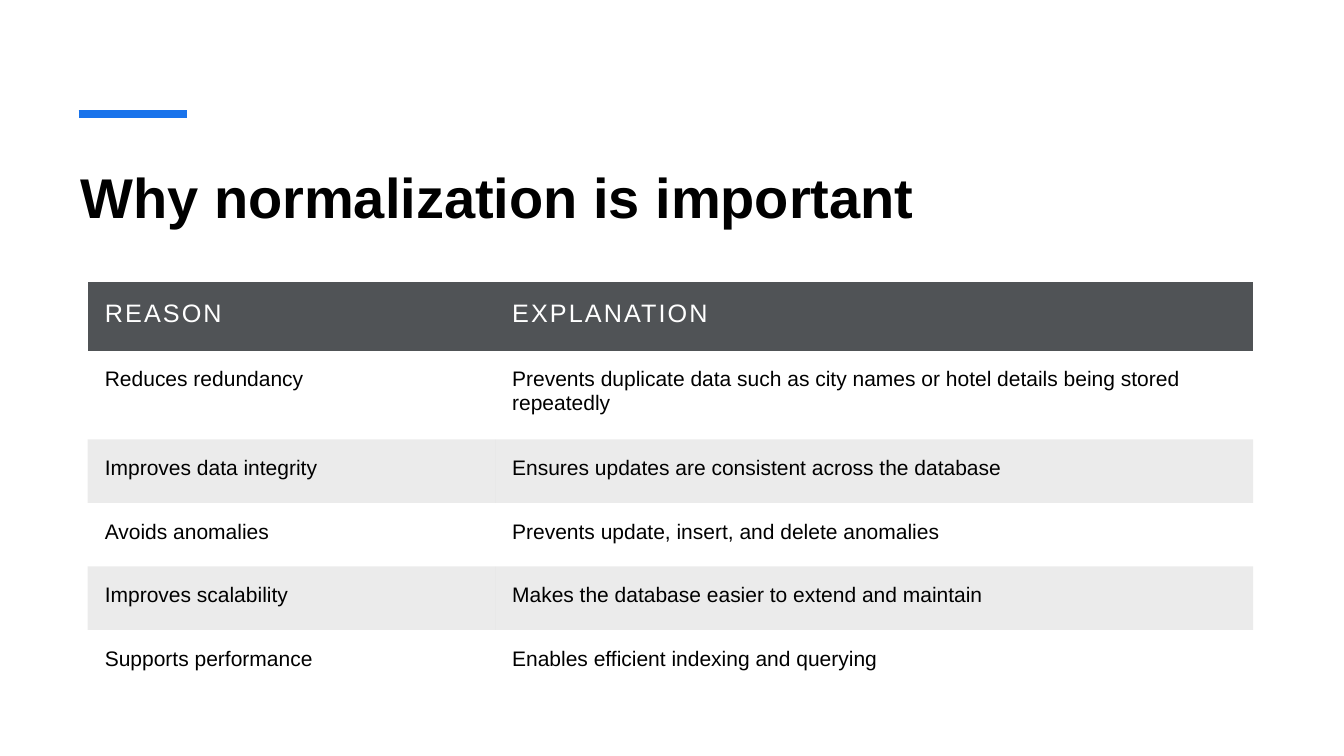
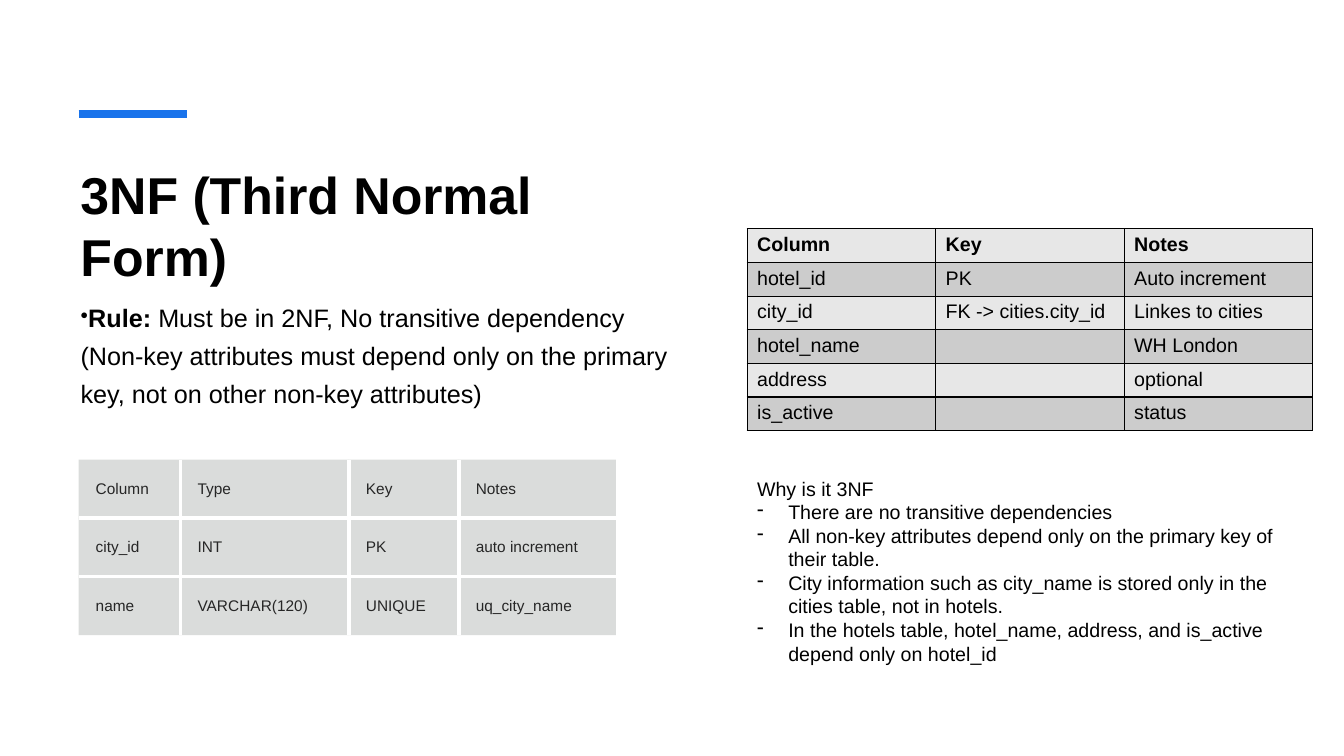
"""Build two slides on database normalization: why it matters, and the third normal form."""
import lxml.etree
import pptx
import pptx.dml.color
import pptx.enum.shapes
import pptx.enum.text
import pptx.oxml.ns
import pptx.util

PX = 9144
FONT = "Arial"
BLACK = pptx.dml.color.RGBColor(0x00, 0x00, 0x00)
WHITE = pptx.dml.color.RGBColor(0xFF, 0xFF, 0xFF)
ACCENT = pptx.dml.color.RGBColor(0x19, 0x73, 0xEB)
HEADER = pptx.dml.color.RGBColor(0x50, 0x53, 0x56)
SAGE = pptx.dml.color.RGBColor(0x87, 0x8E, 0x8B)
CHARCOAL = pptx.dml.color.RGBColor(0x26, 0x26, 0x26)
LIGHT = pptx.dml.color.RGBColor(0xE7, 0xE7, 0xE7)
MEDIUM = pptx.dml.color.RGBColor(0xCC, 0xCC, 0xCC)
NO_STYLE = "{2D5ABB26-0587-4C30-8999-92F81FD0307C}"
qn = pptx.oxml.ns.qn


def write_text(paragraph, text, size=14, color=BLACK, bold=False, spacing=0,
               bullet=None, bullet_size=100, indent=0):
    """Add a formatted run to a paragraph, with an optional bullet."""
    if not text:
        lxml.etree.SubElement(paragraph._p, qn("a:endParaRPr"), sz=str(size * 100))
        return
    run = paragraph.add_run()
    run.text = text
    run.font.name = FONT
    run.font.size = pptx.util.Pt(size)
    run.font.bold = bold
    run.font.color.rgb = color
    if spacing:
        run._r.get_or_add_rPr().set("spc", str(int(spacing * 100)))
    if bullet:
        properties = paragraph._p.get_or_add_pPr()
        properties.set("marL", str(indent * PX))
        properties.set("indent", str(-indent * PX))
        lxml.etree.SubElement(properties, qn("a:buSzPct"), val=str(bullet_size * 1000))
        lxml.etree.SubElement(properties, qn("a:buChar"), char=bullet)


def add_table(slide, left, top, widths, heights, rows, fills, text_formats,
              margins=(10, 5, 10, 5), anchor=pptx.enum.text.MSO_ANCHOR.TOP,
              border=None, border_width=1, outer_border=True):
    """Add a table; fills holds a colour and an opacity in percent for each row."""
    table = slide.shapes.add_table(
        len(rows), len(widths), left * PX, top * PX, sum(widths) * PX, sum(heights) * PX).table
    table.first_row = table.horz_banding = False
    table._tbl.tblPr.find(qn("a:tableStyleId")).text = NO_STYLE
    for column, width in zip(table.columns, widths):
        column.width = width * PX
    for row_index, row in enumerate(rows):
        table.rows[row_index].height = heights[row_index] * PX
        fill_color, opacity = fills[row_index]
        for column_index, text in enumerate(row):
            cell = table.cell(row_index, column_index)
            cell.margin_left, cell.margin_top, cell.margin_right, cell.margin_bottom = [
                margin * PX for margin in margins]
            cell.vertical_anchor = anchor
            write_text(cell.text_frame.paragraphs[0], text, **text_formats[row_index])
            inner_sides = {
                "L": column_index > 0, "R": column_index < len(widths) - 1,
                "T": row_index > 0, "B": row_index < len(rows) - 1}
            for side, is_inner in inner_sides.items():
                if border is not None and (is_inner or outer_border):
                    line = lxml.etree.SubElement(
                        cell._tc.get_or_add_tcPr(), qn("a:ln" + side),
                        w=str(pptx.util.Pt(border_width)))
                    line_fill = lxml.etree.SubElement(line, qn("a:solidFill"))
                    lxml.etree.SubElement(line_fill, qn("a:srgbClr"), val=str(border))
            if fill_color is None:
                cell.fill.background()
                continue
            cell.fill.solid()
            cell.fill.fore_color.rgb = fill_color
            if opacity < 100:
                color_element = cell._tc.tcPr.find(qn("a:solidFill")).find(qn("a:srgbClr"))
                lxml.etree.SubElement(color_element, qn("a:alpha"), val=str(opacity * 1000))


presentation = pptx.Presentation()
presentation.slide_width = 1333 * PX
presentation.slide_height = 750 * PX

slides = []
for title, width, size in [("Why normalization is important", 1191, 40),
                           ("3NF (Third Normal Form)", 627, 37)]:
    slide = presentation.slides.add_slide(presentation.slide_layouts[6])
    slides.append(slide)
    accent = slide.shapes.add_connector(
        pptx.enum.shapes.MSO_CONNECTOR.STRAIGHT, 78 * PX, 113 * PX, 185 * PX, 113 * PX)
    accent.line.color.rgb = ACCENT
    accent.line.width = pptx.util.Pt(6)
    lxml.etree.SubElement(accent._element.spPr, qn("a:effectLst"))
    title_frame = slide.shapes.add_textbox(70 * PX, 150 * PX, width * PX, 120 * PX).text_frame
    title_frame.word_wrap = True
    title_frame.margin_top = 11 * PX
    write_text(title_frame.paragraphs[0], title, size=size, bold=True)
reasons_slide, third_form_slide = slides

reasons = [
    ("REASON", "EXPLANATION"),
    ("Reduces redundancy",
     "Prevents duplicate data such as city names or hotel details being stored repeatedly"),
    ("Improves data integrity", "Ensures updates are consistent across the database"),
    ("Avoids anomalies", "Prevents update, insert, and delete anomalies"),
    ("Improves scalability", "Makes the database easier to extend and maintain"),
    ("Supports performance", "Enables efficient indexing and querying"),
]
plain, shaded = (None, 100), (BLACK, 8)
add_table(
    reasons_slide, 87, 280, [404, 752], [68, 88] + [63] * 4, reasons,
    fills=[(HEADER, 100), plain, shaded, plain, shaded, plain],
    text_formats=[dict(size=18, color=WHITE, spacing=1.5)] + [dict(size=15)] * 5,
    margins=(17, 17, 17, 17))

rule_frame = third_form_slide.shapes.add_textbox(70 * PX, 288 * PX, 628 * PX, 401 * PX).text_frame
rule_frame.word_wrap = True
rule = rule_frame.paragraphs[0]
rule.line_spacing = 1.25
rule.space_after = pptx.util.Pt(6)
write_text(rule, "Rule: ", size=18, bold=True, bullet="•", bullet_size=87)
write_text(rule, "Must be in 2NF, No transitive dependency (Non-key attributes must depend "
                 "only on the primary key, not on other non-key attributes)", size=18)

cities = [
    ("Column", "Type", "Key", "Notes"),
    ("city_id", "INT", "PK", "auto increment"),
    ("name", "VARCHAR(120)", "UNIQUE", "uq_city_name"),
]
add_table(
    third_form_slide, 78, 456, [101, 167, 109, 156], [58] * 3, cities,
    fills=[(SAGE, 30)] * 3, text_formats=[dict(size=11, color=CHARCOAL)] * 3,
    margins=(17, 10, 10, 10), anchor=pptx.enum.text.MSO_ANCHOR.MIDDLE,
    border=WHITE, border_width=3, outer_border=False)

hotels = [
    ("Column", "Key", "Notes"),
    ("hotel_id", "PK", "Auto increment"),
    ("city_id", "FK -> cities.city_id", "Linkes to cities"),
    ("hotel_name", "", "WH London"),
    ("address", "", "optional"),
    ("is_active", "", "status"),
]
add_table(
    third_form_slide, 741, 227, [187] * 3, [31] * 6, hotels,
    fills=[(LIGHT, 100), (MEDIUM, 100)] * 3,
    text_formats=[dict(bold=True)] + [dict()] * 5, border=BLACK)

reason_frame = third_form_slide.shapes.add_textbox(
    741 * PX, 468 * PX, 541 * PX, 199 * PX).text_frame
reason_frame.word_wrap = True
write_text(reason_frame.paragraphs[0], "Why is it 3NF")
for reason in [
        "There are no transitive dependencies",
        "All non-key attributes depend only on the primary key of their table.",
        "City information such as city_name is stored only in the cities table, not in hotels.",
        "In the hotels table, hotel_name, address, and is_active depend only on hotel_id"]:
    write_text(reason_frame.add_paragraph(), reason, bullet="-", indent=31)

presentation.save("out.pptx")
